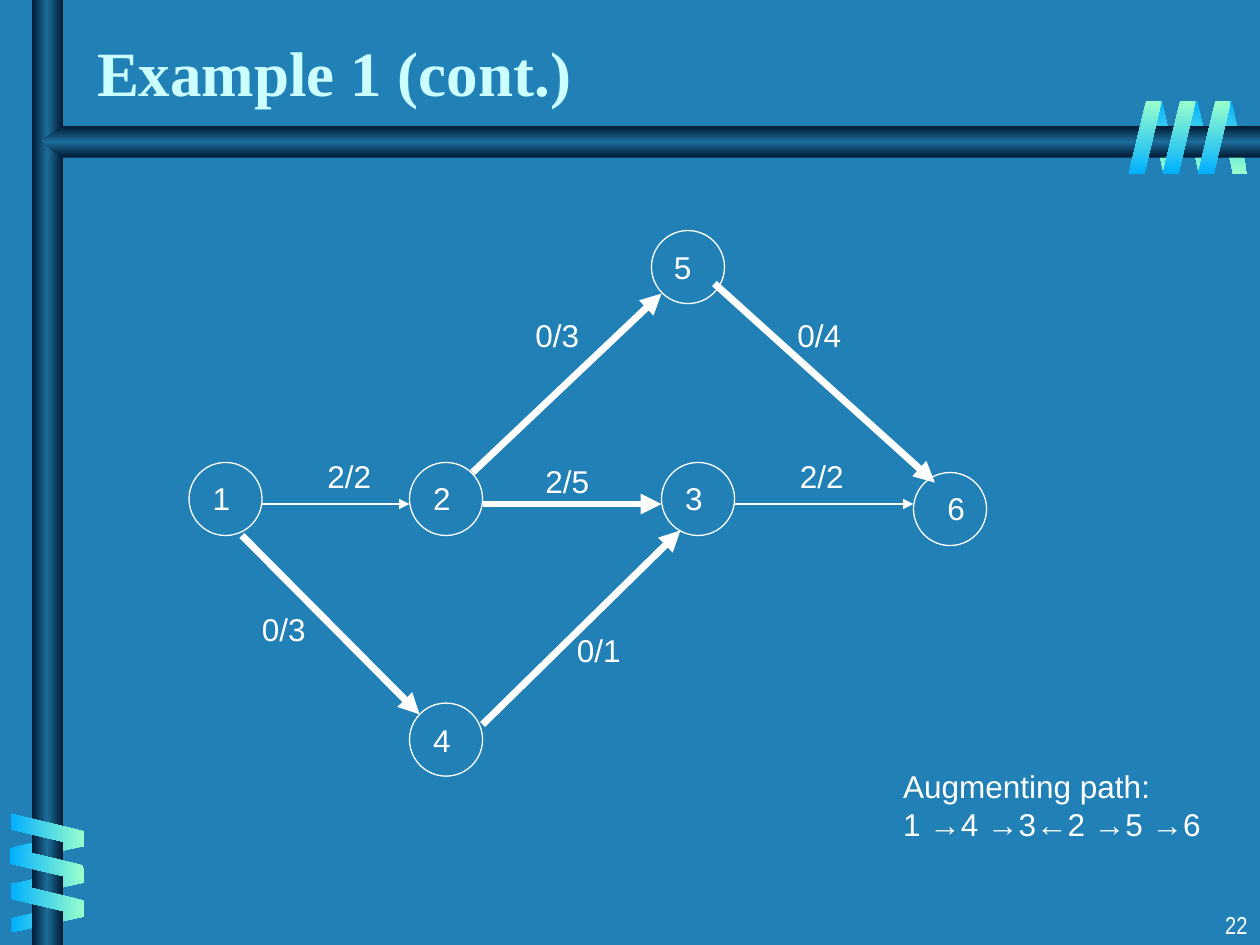
from lxml import etree
from pptx import Presentation
from pptx.dml.color import RGBColor
from pptx.enum.shapes import MSO_CONNECTOR as Link, MSO_SHAPE as Kind
from pptx.enum.text import MSO_ANCHOR as Anchor, MSO_AUTO_SIZE as Fit, PP_ALIGN as Align
from pptx.oxml.ns import qn
from pptx.util import Inches, Pt

THEME = {
    "back": "2181B7", "ink": "FFFFFF", "title": "CCFFFF",
    "blue": "01B0FF", "mint": "99FFCC", "dark": "001932", "steel": "1C6D9A",
    "font": "Arial", "head": "Times New Roman", "foot": "Arial Narrow",
    "body_pt": 18, "title_pt": 36, "foot_pt": 14, "thin": 0.75, "bold": 4,
}


def paint(shape, tones, angle):
    """Fill with evenly spaced tones; the angle runs clockwise."""
    shape.shadow.inherit = False
    shape.line.fill.background()
    shape.fill.gradient()
    shape.fill.gradient_angle = (360 - angle) % 360
    grad = shape._element.spPr.find(qn("a:gradFill"))
    grad.set("rotWithShape", "0")
    stops = grad.find(qn("a:gsLst"))
    for stop in list(stops):
        stops.remove(stop)
    for i, tone in enumerate(tones):
        stop = etree.SubElement(stops, qn("a:gs"), pos=str(100000 * i // (len(tones) - 1)))
        etree.SubElement(stop, qn("a:srgbClr"), val=THEME[tone])


def ribbon(spots, width, turn, flip, tones, angle):
    """Draw one layer of slanted bands of a coil."""
    for x, y in spots:
        band = shapes.add_shape(Kind.PARALLELOGRAM, Inches(x), Inches(y),
                                Inches(width), Inches(0.58))
        band.adjustments[0] = 0.53
        band.rotation = turn
        if flip:
            band._element.spPr.xfrm.set("flipH", "1")
        paint(band, tones, angle)


deck = Presentation()
deck.slide_width, deck.slide_height = Inches(10), Inches(7.5)
slide = deck.slides.add_slide(deck.slide_layouts[5])
shapes = slide.shapes
slide.background.fill.solid()
slide.background.fill.fore_color.rgb = RGBColor.from_string(THEME["back"])

# Coils behind the bars
ribbon([(9.66, 0.8), (9.39, 0.8), (9.11, 0.8)], 0.24, 180, True, ("blue", "mint"), 90)
ribbon([(0.26, 6.43), (0.26, 6.72), (0.26, 6.99)], 0.24, 90, True, ("blue", "mint"), 180)

# Bars
post = shapes.add_shape(Kind.RECTANGLE, Inches(0.25), 0, Inches(0.25), Inches(7.5))
paint(post, ("dark", "steel", "dark"), 180)
pen = shapes.build_freeform(Inches(10), Inches(1))
pen.add_line_segments([(Inches(x), Inches(y)) for x, y in
                       [(0.5, 1), (0.33, 1.12), (0.5, 1.25), (10, 1.25)]])
paint(pen.convert_to_shape(), ("dark", "steel", "dark"), 90)

# Coils in front of the bars
ribbon([(0.25, 6.3), (0.24, 6.57), (0.25, 6.85)], 0.26, 270, False, ("mint", "blue"), 180)
ribbon([(9.51, 0.8), (9.23, 0.8), (8.96, 0.8)], 0.26, 0, False, ("mint", "blue"), 90)

ink = RGBColor.from_string(THEME["ink"])

# Nodes: circle corner, then label corner
nodes = {
    "1": (1.5, 3.67, 1.59, 3.75), "2": (3.25, 3.67, 3.34, 3.75),
    "3": (5.25, 3.67, 5.34, 3.75), "4": (3.25, 5.58, 3.34, 5.67),
    "5": (5.17, 1.83, 5.25, 1.92), "6": (7.25, 3.75, 7.42, 3.83),
}
for x, y, _, _ in nodes.values():
    node = shapes.add_shape(Kind.OVAL, Inches(x), Inches(y), Inches(0.58), Inches(0.58))
    node.shadow.inherit = False
    node.fill.background()
    node.line.color.rgb = ink
    node.line.width = Pt(THEME["thin"])

# Edges: start, end, weight, then label and its corner
edges = [
    (1.92, 4.25, 3.33, 5.67, "bold", "0/3", 1.98, 4.79),
    (2.08, 4, 3.25, 4, "thin", "2/2", 2.5, 3.58),
    (3.75, 3.75, 5.25, 2.33, "bold", "0/3", 4.15, 2.46),
    (3.83, 4, 5.25, 4, "bold", "2/5", 4.23, 3.62),
    (3.83, 5.75, 5.4, 4.21, "bold", "0/1", 4.48, 4.96),
    (5.83, 4, 7.25, 4, "thin", "2/2", 6.25, 3.58),
    (5.67, 2.25, 7.42, 3.83, "bold", "0/4", 6.23, 2.46),
]
for *ends, weight, _, _, _ in edges:
    edge = shapes.add_connector(Link.STRAIGHT, *[Inches(v) for v in ends])
    edge.line.color.rgb = ink
    edge.line.width = Pt(THEME[weight])
    etree.SubElement(edge.line._get_or_add_ln(), qn("a:tailEnd"), type="triangle")
    etree.SubElement(edge._element.spPr, qn("a:effectLst"))

# Labels and the path found
notes = [(x, y, 0.34, 0.4, [name]) for name, (_, _, x, y) in nodes.items()]
notes += [(x, y, 0.55, 0.4, [name]) for *_, name, x, y in edges]
notes.append((7.07, 6.04, 2.56, 0.7, ["Augmenting path:", "1 →4 →3←2 →5 →6"]))
texts = []
for x, y, w, h, lines in notes:
    box = shapes.add_textbox(Inches(x), Inches(y), Inches(w), Inches(h))
    box.text_frame.word_wrap = False
    box.text_frame.auto_size = Fit.SHAPE_TO_FIT_TEXT
    texts.append((box, lines, "font", "body_pt", "ink", Align.LEFT))

# Title
title = shapes.title
title.left, title.top = Inches(0.67), Inches(0.17)
title.width, title.height = Inches(8.3), Inches(0.75)
title.text_frame.vertical_anchor = Anchor.BOTTOM
title.text_frame.auto_size = Fit.NONE
texts.append((title, ["Example 1 (cont.)"], "head", "title_pt", "title", Align.LEFT))

# Page number
page = shapes.add_textbox(Inches(7.92), Inches(7.17), Inches(2.08), Inches(0.33))
page.text_frame.word_wrap = True
texts.append((page, ["22"], "foot", "foot_pt", "ink", Align.RIGHT))

# Write all text
for box, lines, font, size, tone, align in texts:
    frame = box.text_frame
    for i, line in enumerate(lines):
        para = frame.add_paragraph() if i else frame.paragraphs[0]
        para.alignment = align
        run = para.add_run()
        run.text = line
        run.font.name = THEME[font]
        run.font.size = Pt(THEME[size])
        run.font.bold = font == "head"
        run.font.color.rgb = RGBColor.from_string(THEME[tone])

deck.save("out.pptx")
